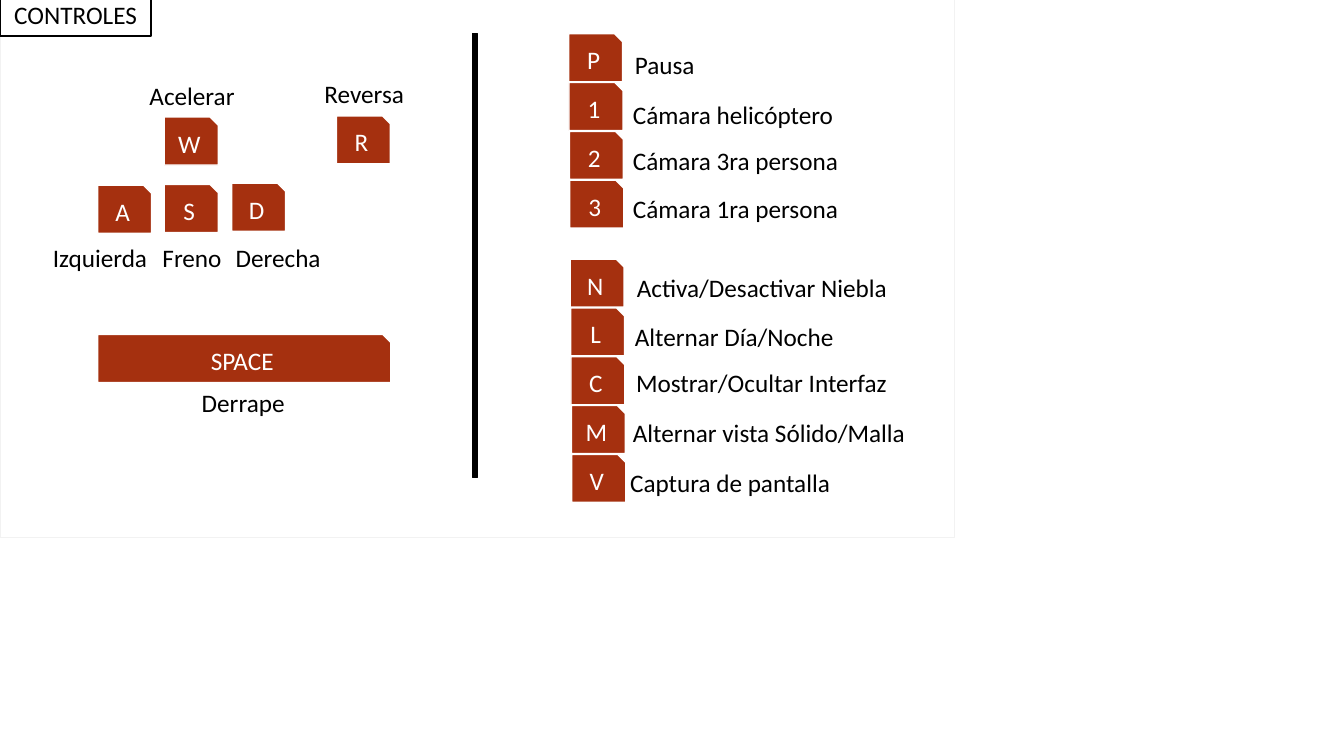
from pptx import Presentation
from pptx.dml.color import RGBColor
from pptx.enum.shapes import MSO_SHAPE
from pptx.enum.text import MSO_ANCHOR, MSO_AUTO_SIZE, PP_ALIGN
from pptx.util import Cm, Pt

# Content; every length is in centimetres
TITLE = "CONTROLES"
DRIVING_KEYS = [  # text, left, top, width
    ("W", 4.14, 2.95, 1.36),
    ("A", 2.46, 4.67, 1.36),
    ("S", 4.14, 4.65, 1.36),
    ("D", 5.84, 4.62, 1.36),
    ("R", 8.48, 2.92, 1.36),
    ("SPACE", 2.46, 8.43, 7.39),
]
DRIVING_LABELS = [  # text, left, top, width, alignment
    ("Acelerar", 3.48, 1.9, 2.72, PP_ALIGN.CENTER),
    ("Reversa", 7.82, 1.86, 2.72, PP_ALIGN.CENTER),
    ("Izquierda", 0.94, 5.98, 3.02, PP_ALIGN.RIGHT),
    ("Freno", 3.48, 5.99, 2.72, PP_ALIGN.CENTER),
    ("Derecha", 5.69, 5.99, 3.02, PP_ALIGN.LEFT),
    ("Derrape", 4.62, 9.63, 3.02, PP_ALIGN.CENTER),
]
KEY_COLUMNS = [  # left, top, rows of key, label, label left, label top
    (14.33, 0.85, [
        ("P", "Pausa", 15.75, 1.12),
        ("1", "Cámara helicóptero", 15.7, 2.39),
        ("2", "Cámara 3ra persona", 15.7, 3.54),
        ("3", "Cámara 1ra persona", 15.7, 4.75),
    ]),
    (14.37, 6.53, [
        ("N", "Activa/Desactivar Niebla", 15.8, 6.73),
        ("L", "Alternar Día/Noche", 15.75, 7.96),
        ("C", "Mostrar/Ocultar Interfaz", 15.78, 9.13),
        ("M", "Alternar vista Sólido/Malla", 15.7, 10.4),
        ("V", "Captura de pantalla", 15.63, 11.66),
    ]),
]

KEY_WIDTH, KEY_HEIGHT = 1.36, 1.21
KEY_STEP, KEY_DRIFT = 1.23, 0.01
LABEL_WIDTH, LABEL_HEIGHT = 8.4, 1.03

FONT = "Calibri"
BRICK = RGBColor(0xA5, 0x30, 0x0F)
WHITE = RGBColor(0xFF, 0xFF, 0xFF)
BLACK = RGBColor(0, 0, 0)
PALE = RGBColor(0xF2, 0xF2, 0xF2)


def write(shape, text, color=BLACK, align=PP_ALIGN.CENTER, anchor=MSO_ANCHOR.MIDDLE):
    frame = shape.text_frame
    frame.word_wrap = True
    frame.auto_size = MSO_AUTO_SIZE.NONE
    frame.vertical_anchor = anchor
    para = frame.paragraphs[0]
    para.alignment = align
    span = para.add_run()
    span.text = text
    span.font.name = FONT
    span.font.size = Pt(18)
    span.font.color.rgb = color


def paint(shape, fill, line):
    shape.fill.solid()
    shape.fill.fore_color.rgb = fill
    shape.line.color.rgb = line
    shape.line.width = Pt(1)


def add_block(page, kind, left, top, width, height, fill, line):
    block = page.shapes.add_shape(kind, Cm(left), Cm(top), Cm(width), Cm(height))
    block.shadow.inherit = False
    paint(block, fill, line)
    return block


def add_key(page, text, left, top, width=KEY_WIDTH):
    key = add_block(page, MSO_SHAPE.SNIP_1_RECTANGLE, left, top, width, KEY_HEIGHT,
                    BRICK, WHITE)
    write(key, text, color=WHITE)


def add_label(page, text, left, top, width=LABEL_WIDTH, align=PP_ALIGN.LEFT):
    box = page.shapes.add_textbox(Cm(left), Cm(top), Cm(width), Cm(LABEL_HEIGHT))
    write(box, text, align=align, anchor=MSO_ANCHOR.TOP)


def main():
    deck = Presentation()
    deck.slide_width, deck.slide_height = Cm(33.87), Cm(19.05)
    page = deck.slides.add_slide(deck.slide_layouts[5])

    # Panel, and the title brought in front of it
    add_block(page, MSO_SHAPE.RECTANGLE, 0, -0.18, 24.05, 13.72, WHITE, PALE)
    title = page.shapes.title
    title.left, title.top, title.width, title.height = Cm(0), Cm(-0.18), Cm(3.81), Cm(1.09)
    paint(title, WHITE, BLACK)
    write(title, TITLE)
    page.shapes._spTree.append(title._element)

    # Divider between driving keys and the other keys
    add_block(page, MSO_SHAPE.RECTANGLE, 11.91, 0.84, 0.12, 11.2, BLACK, BLACK)

    # Driving keys
    for text, left, top, width in DRIVING_KEYS:
        add_key(page, text, left, top, width)
    for text, left, top, width, align in DRIVING_LABELS:
        add_label(page, text, left, top, width, align)

    # Columns of keys with labels
    for left, top, rows in KEY_COLUMNS:
        for index, (key, label, label_left, label_top) in enumerate(rows):
            add_key(page, key, left + index * KEY_DRIFT, top + index * KEY_STEP)
            add_label(page, label, label_left, label_top)

    deck.save("out.pptx")


if __name__ == "__main__":
    main()
